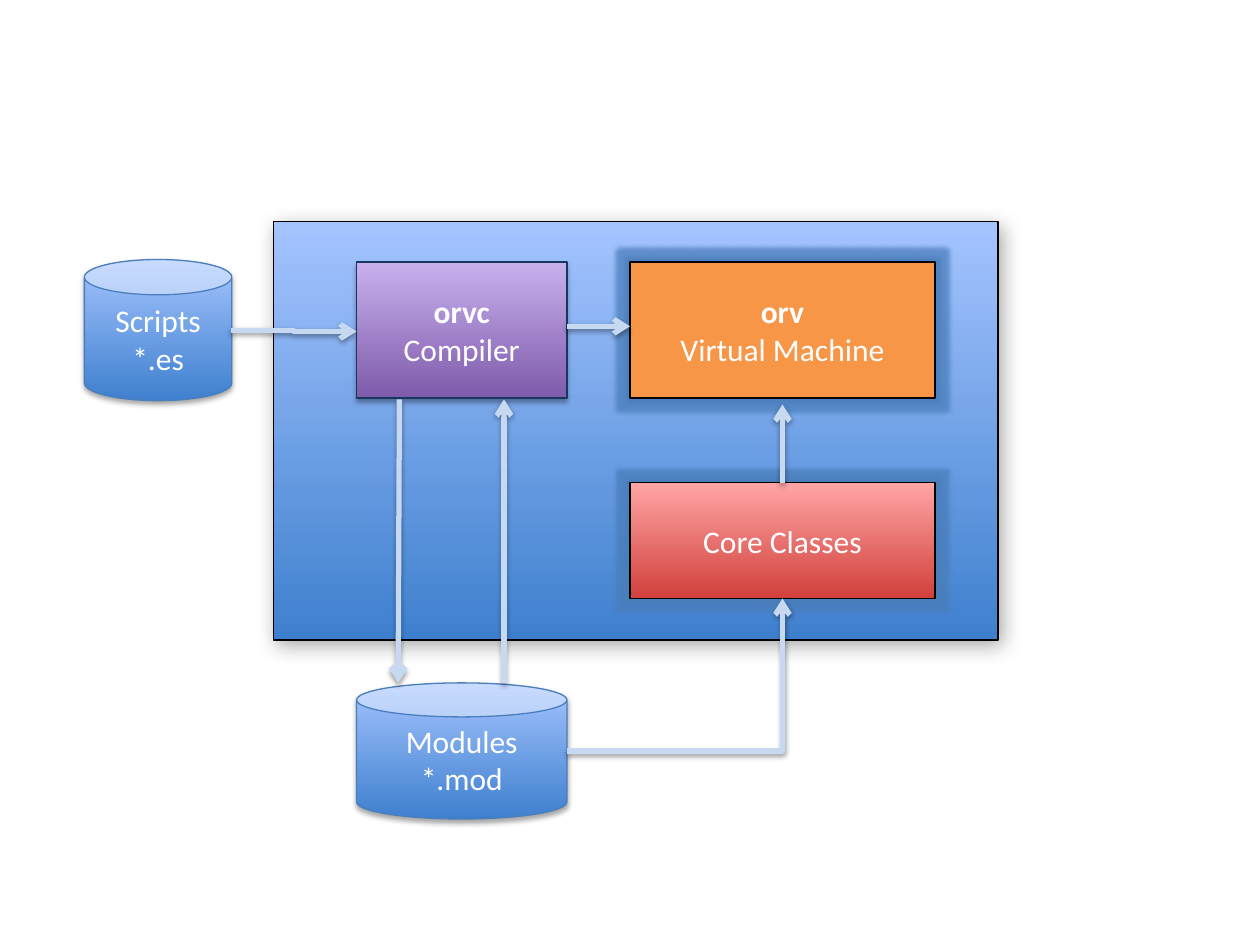
from lxml import etree
from pptx import Presentation, util as u
from pptx.dml.color import RGBColor
from pptx.enum import shapes, text
from pptx.oxml.ns import qn

HUES = {
    "sky": "A4C4FF", "blue": "3F80CE", "rim": "4B7EBC", "navy": "17375E",
    "lilac": "C8B0ED", "plum": "7F5BAB", "pink": "FFA6A5", "red": "D1403C",
    "orange": "F79646", "pale": "C6D9F1", "glow": "4A7EBB",
    "black": "000000", "white": "FFFFFF",
}
BOX = shapes.MSO_SHAPE.RECTANGLE
CAN = shapes.MSO_SHAPE.CAN
WIDE = (35, 12, 3.8, 52)
SOFT = (35, 3.1, 1.8, 90)
THIN = (38, 3.1, 1.6, 90)


def hue(name):
    return RGBColor.from_string(HUES[name])


class Board:
    font = "Calibri"
    size = u.Pt(18)

    def __init__(self, slide):
        self.slide = slide

    def effect(self, item, kind, name, alpha, **sizes):
        props = item.element.spPr
        group = props.find(qn("a:effectLst"))
        if group is None:
            group = etree.SubElement(props, qn("a:effectLst"))
        node = etree.SubElement(group, qn("a:" + kind))
        for key, value in sizes.items():
            node.set(key, str(int(value)))
        tint = etree.SubElement(node, qn("a:srgbClr"), val=HUES[name])
        etree.SubElement(tint, qn("a:alpha"), val=str(alpha * 1000))

    def shade(self, item, alpha, blur, dist, angle):
        self.effect(item, "outerShdw", "black", alpha, blurRad=u.Pt(blur),
                    dist=u.Pt(dist), dir=angle * 60000, rotWithShape=0)

    def shape(self, kind, place, fill, line, lines=(), bold=False,
              shade=None, glow=False):
        item = self.slide.shapes.add_shape(kind, *map(u.Inches, place))
        item.shadow.inherit = False
        if len(fill) == 2:
            item.fill.gradient()
            item.fill.gradient_angle = 90
            for stop, name in zip(item.fill.gradient_stops, fill):
                stop.color.rgb = hue(name)
        else:
            item.fill.solid()
            item.fill.fore_color.rgb = hue(fill[0])
        item.line.color.rgb = hue(line)
        item.line.width = u.Pt(0.75)
        if shade:
            self.shade(item, *shade)
        if glow:
            self.effect(item, "glow", "glow", 75, rad=u.Inches(0.07))
        if lines:
            self.label(item.text_frame, lines, bold)

    def label(self, frame, lines, bold):
        frame.text = "\n".join(lines)
        frame.word_wrap = True
        frame.vertical_anchor = text.MSO_ANCHOR.MIDDLE
        for row, para in enumerate(frame.paragraphs):
            para.alignment = text.PP_ALIGN.CENTER
            for run in para.runs:
                run.font.name = self.font
                run.font.size = self.size
                run.font.bold = bold and row == 0
                run.font.color.rgb = hue("white")

    def arrow(self, start, end, bend=None):
        kind = shapes.MSO_CONNECTOR.ELBOW if bend else shapes.MSO_CONNECTOR.STRAIGHT
        item = self.slide.shapes.add_connector(kind, *map(u.Inches, start + end))
        item.line.color.rgb = hue("pale")
        item.line.width = u.Pt(3)
        props = item.element.spPr
        if bend:
            props.find(qn("a:prstGeom")).set("prst", bend)
        etree.SubElement(props.find(qn("a:ln")), qn("a:tailEnd"), type="arrow")
        self.shade(item, *THIN)


deck = Presentation()
deck.slide_width, deck.slide_height = u.Inches(10), u.Inches(7.5)
board = Board(deck.slides.add_slide(deck.slide_layouts[6]))

blues = ("blue", "sky")
board.shape(BOX, (2.17, 1.76, 5.75, 3.32), blues, "black", shade=WIDE)
board.shape(BOX, (5, 2.08, 2.42, 1.08), ("orange",), "black",
            ("orv", "Virtual Machine"), bold=True, glow=True)
board.shape(CAN, (2.83, 5.42, 1.67, 1.08), blues, "rim",
            ("Modules\v*.mod",), shade=SOFT)
board.shape(BOX, (2.83, 2.08, 1.67, 1.08), ("plum", "lilac"), "navy",
            ("orvc", "Compiler"), bold=True, shade=SOFT)
board.shape(CAN, (0.67, 2.06, 1.17, 1.12), blues, "rim",
            ("Scripts", "*.es"), shade=SOFT)
board.arrow((3.17, 3.17), (3.16, 5.42))
board.arrow((4, 5.42), (4, 3.17))
board.arrow((4.5, 2.59), (5, 2.59))
board.shape(BOX, (5, 3.83, 2.42, 0.92), ("red", "pink"), "black",
            ("Core Classes",), glow=True)
board.arrow((4.5, 5.96), (6.21, 4.75), "bentConnector2")
board.arrow((6.21, 3.83), (6.21, 3.21))
board.arrow((1.83, 2.62), (2.83, 2.63), "bentConnector3")

deck.save("out.pptx")
